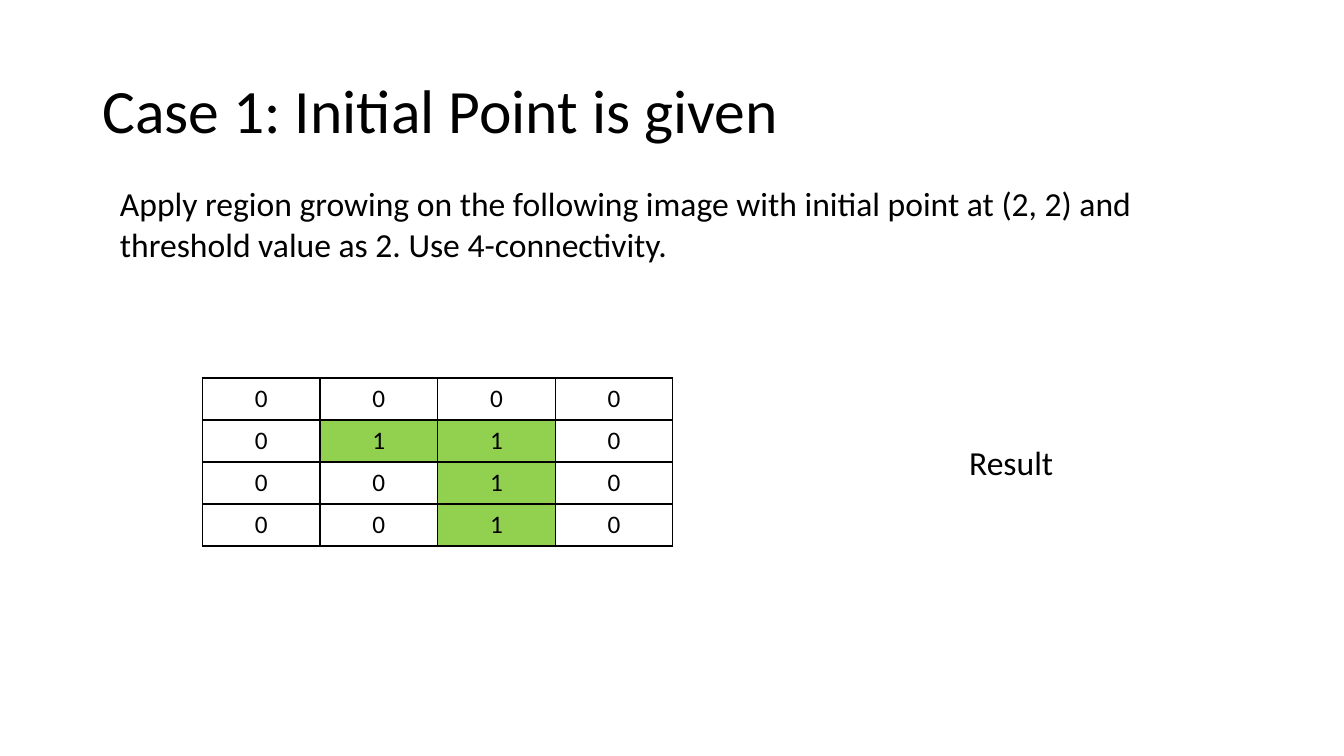
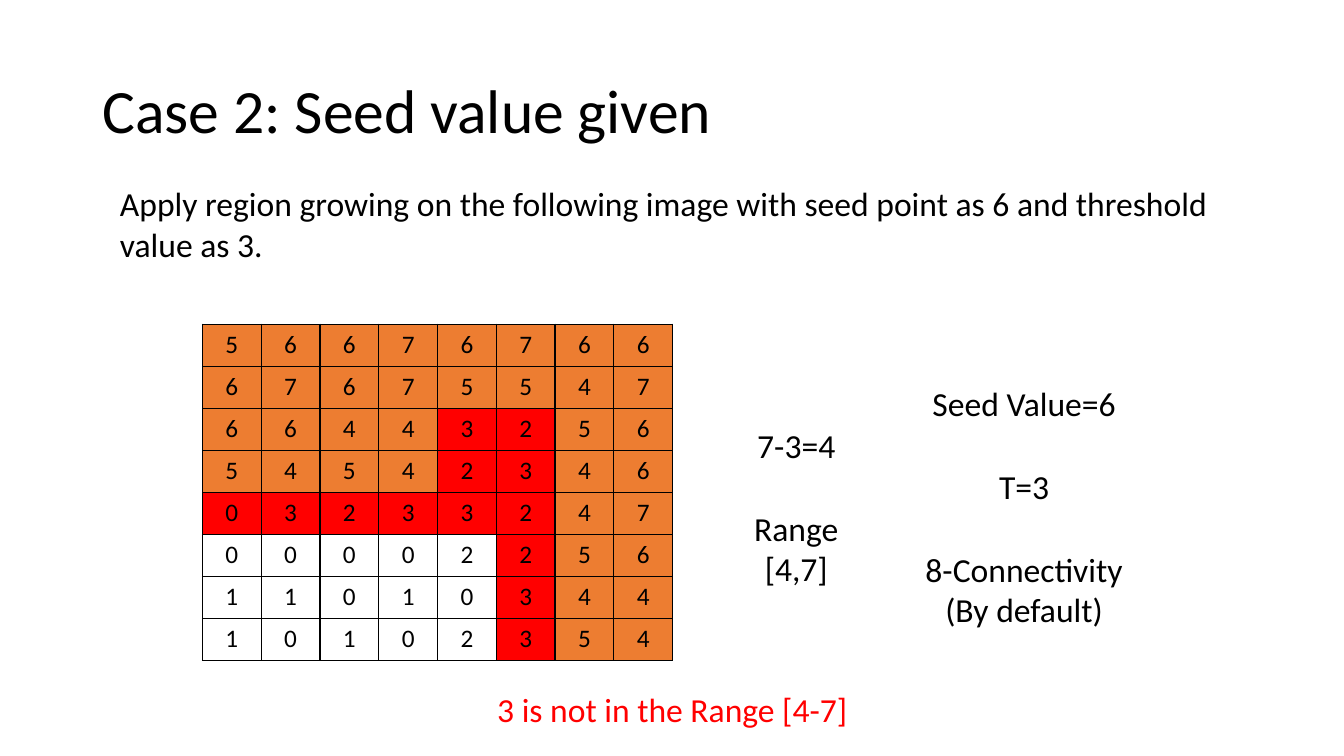
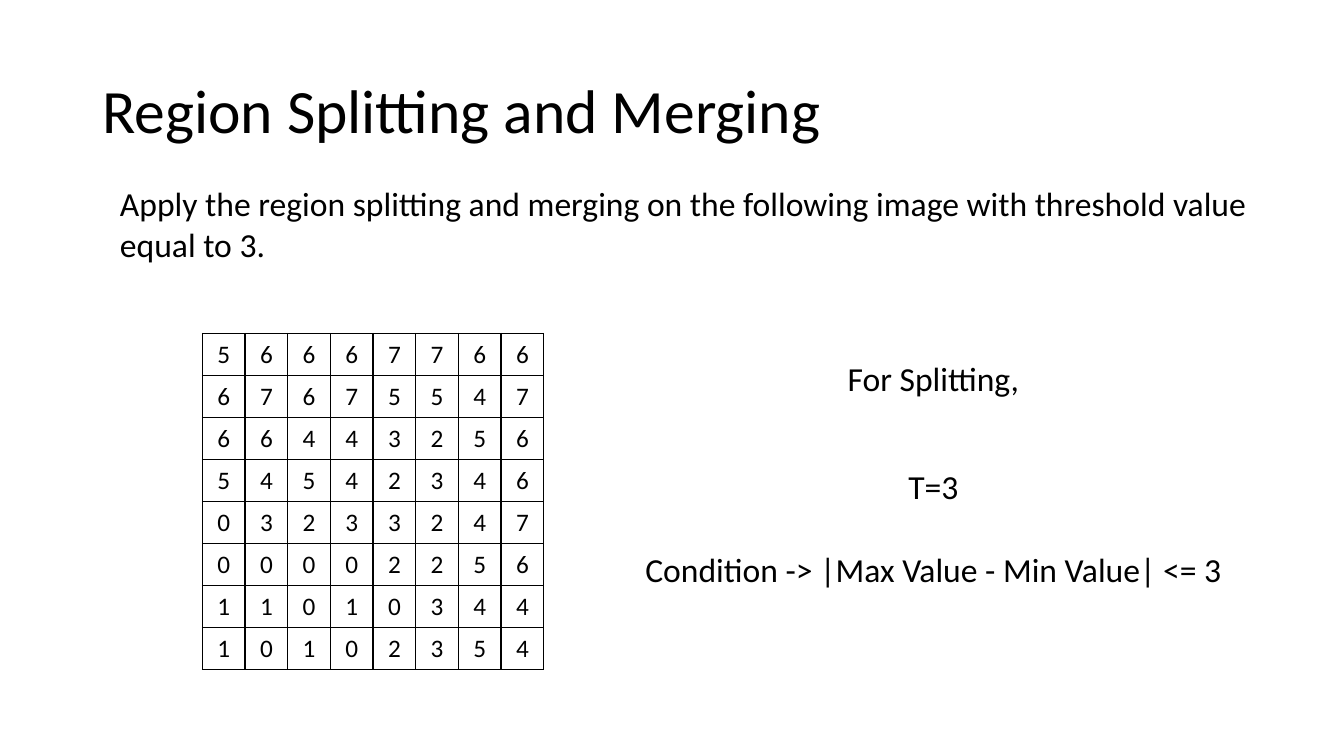
import pptx
import pptx.dml.color
import pptx.enum.text
import pptx.oxml
import pptx.oxml.ns
import pptx.util

Pt = pptx.util.Pt
RGBColor = pptx.dml.color.RGBColor
ALIGN = pptx.enum.text.PP_ALIGN
ANCHOR = pptx.enum.text.MSO_ANCHOR
AUTO_SIZE = pptx.enum.text.MSO_AUTO_SIZE

BLACK = RGBColor(0x00, 0x00, 0x00)
WHITE = RGBColor(0xFF, 0xFF, 0xFF)
GREEN = RGBColor(0x92, 0xD0, 0x50)
ORANGE = RGBColor(0xED, 0x7D, 0x31)
RED = RGBColor(0xFF, 0x00, 0x00)

GRID_LEFT = 144.6
ROW_HEIGHT = 30
LINE_HEIGHT = 29.1
BOX_MARGINS = 7.2

POINT_IMAGE = ["0000", "0110", "0010", "0010"]
LOWER_ROWS = ["67675547", "66443256", "54542346", "03233247",
              "00002256", "11010344", "10102354"]
SEED_IMAGE = ["56676766"] + LOWER_ROWS
SPLIT_IMAGE = ["56667766"] + LOWER_ROWS
POINT_REGION = ["....", ".GG.", "..G.", "..G."]
SEED_REGION = ["OOOOOOOO", "OOOOOOOO", "OOOORROO", "OOOORROO",
               "RRRRRROO", ".....ROO", ".....ROO", ".....ROO"]
REGION_FILLS = {".": WHITE, "G": GREEN, "O": ORANGE, "R": RED}


class Deck:
    """Holds the shared style and the current slide."""

    font_name = "Calibri"
    title_size = 44
    body_size = 24
    cell_size = 18

    def __init__(self):
        self.presentation = pptx.Presentation()
        self.presentation.slide_width = Pt(960)
        self.presentation.slide_height = Pt(540)
        self.slide = None

    def style(self, paragraph, size, color):
        formats = {"name": self.font_name, "size": Pt(size), "bold": False}
        for key, value in formats.items():
            setattr(paragraph.font, key, value)
        paragraph.font.color.rgb = color

    def text(self, lines, left, top, width, height, size, color, frame_formats, paragraph_formats):
        box = self.slide.shapes.add_textbox(Pt(left), Pt(top), Pt(width), Pt(height))
        frame = box.text_frame
        frame.text = "\n".join(lines)
        for key, value in {"word_wrap": True, **frame_formats}.items():
            setattr(frame, key, value)
        for paragraph in frame.paragraphs:
            for key, value in paragraph_formats.items():
                setattr(paragraph, key, value)
            self.style(paragraph, size, color)

    def start(self, title, task):
        self.slide = self.presentation.slides.add_slide(self.presentation.slide_layouts[6])
        self.text([title], 66, 28.8, 828, 104.4, self.title_size, BLACK,
                  {"vertical_anchor": ANCHOR.MIDDLE}, {"line_spacing": 0.9})
        self.note([task], 78.6, 127.3, 819.4, align=ALIGN.LEFT, rows=2)

    def note(self, lines, left, top, width, color=BLACK, align=ALIGN.CENTER, rows=None):
        height = (rows or len(lines)) * LINE_HEIGHT + BOX_MARGINS
        self.text(lines, left, top, width, height, self.body_size, color,
                  {"auto_size": AUTO_SIZE.SHAPE_TO_FIT_TEXT}, {"alignment": align})

    def border(self, cell):
        properties = cell._tc.get_or_add_tcPr()
        for position, side in enumerate(("lnL", "lnR", "lnT", "lnB")):
            properties.insert(position, pptx.oxml.parse_xml(
                f'<a:{side} {pptx.oxml.ns.nsdecls("a")} w="{Pt(1)}"><a:solidFill>'
                f'<a:srgbClr val="{BLACK}"/></a:solidFill></a:{side}>'))

    def pixel_grid(self, pixels, top, column_width, region=None):
        rows, columns = len(pixels), len(pixels[0])
        grid = self.slide.shapes.add_table(
            rows, columns, Pt(GRID_LEFT), Pt(top),
            Pt(columns * column_width), Pt(rows * ROW_HEIGHT)).table
        for key in ("first_row", "horz_banding"):
            setattr(grid, key, False)
        for column in grid.columns:
            column.width = Pt(column_width)
        for row_index, row in enumerate(pixels):
            grid.rows[row_index].height = Pt(ROW_HEIGHT)
            for column_index, pixel in enumerate(row):
                cell = grid.cell(row_index, column_index)
                cell.text = pixel
                cell.vertical_anchor = ANCHOR.MIDDLE
                mark = region[row_index][column_index] if region else "."
                cell.fill.solid()
                cell.fill.fore_color.rgb = REGION_FILLS[mark]
                self.border(cell)
                paragraph = cell.text_frame.paragraphs[0]
                paragraph.alignment = ALIGN.CENTER
                self.style(paragraph, self.cell_size, BLACK)


def main():
    deck = Deck()

    deck.start("Case 1: Initial Point is given",
               "Apply region growing on the following image with initial point at (2, 2) "
               "and threshold value as 2. Use 4-connectivity.")
    deck.pixel_grid(POINT_IMAGE, 270, 84, POINT_REGION)
    deck.note(["Result"], 633, 312, 178.6)

    deck.start("Case 2: Seed value given",
               "Apply region growing on the following image with seed point as 6 "
               "and threshold value as 3.")
    for lines, top in ((["Seed Value=6"], 270), (["T=3"], 329.3),
                       (["8-Connectivity", "(By default)"], 388.6)):
        deck.note(lines, 642.2, top, 178.6)
    deck.pixel_grid(SEED_IMAGE, 231.6, 42, SEED_REGION)
    for lines, top in ((["7-3=4"], 299.8), (["Range", "[4,7]"], 359.1)):
        deck.note(lines, 507.6, top, 122.4)
    deck.note(["3 is not in the Range [4-7]"], 274.3, 488.2, 411.8, color=RED)

    deck.start("Region Splitting and Merging",
               "Apply the region splitting and merging on the following image "
               "with threshold value equal to 3.")
    deck.pixel_grid(SPLIT_IMAGE, 238.2, 30.5)
    for line, top in (("For Splitting,", 252), ("T=3", 329.3),
                      ("Condition -> |Max Value - Min Value| <= 3", 388.6)):
        deck.note([line], 452.9, top, 427.7)

    deck.presentation.save("out.pptx")


if __name__ == "__main__":
    main()
